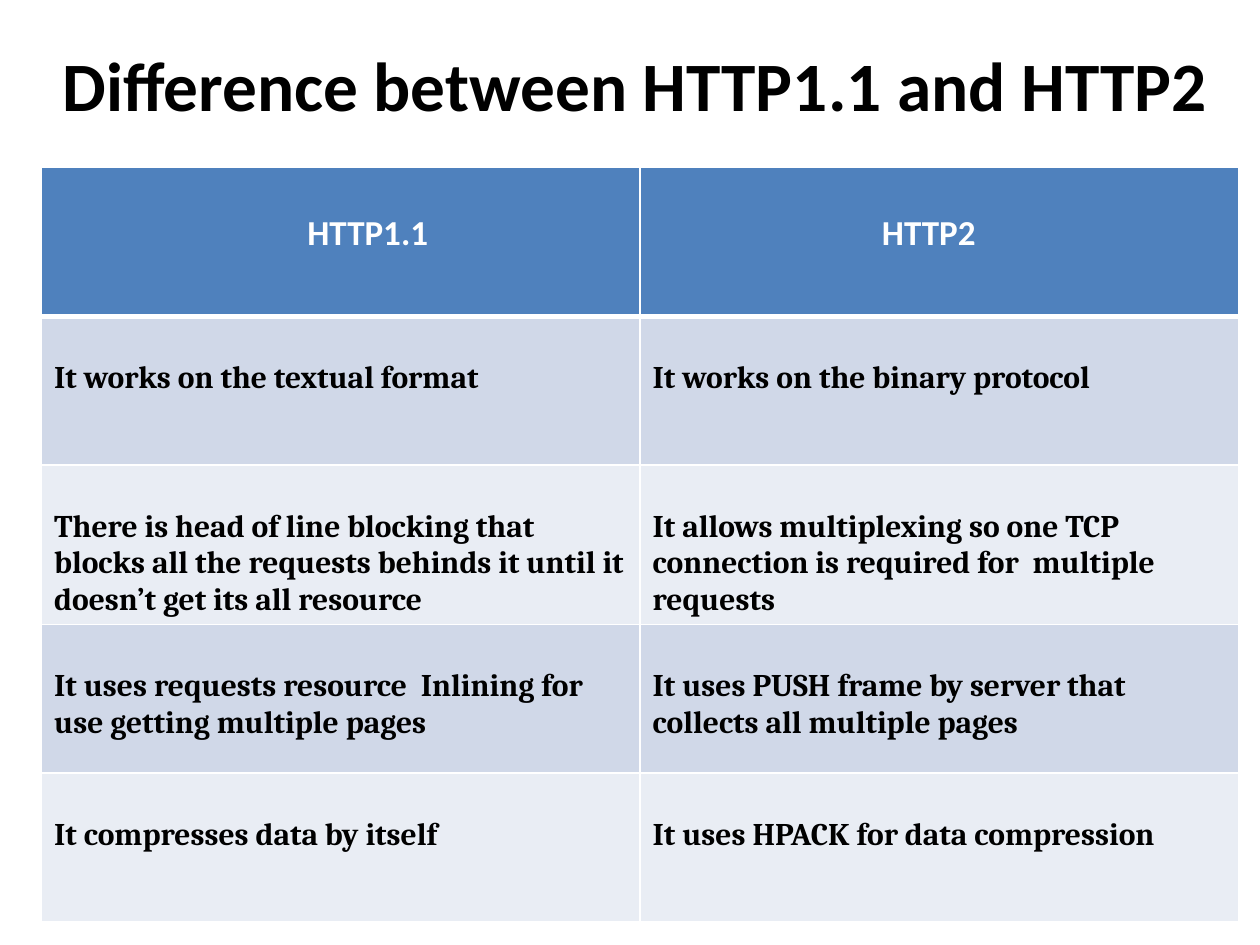
from typing import NamedTuple

from pptx import Presentation
from pptx.dml.color import RGBColor
from pptx.enum.text import MSO_ANCHOR as Anchor, PP_ALIGN as Align
from pptx.oxml import parse_xml
from pptx.oxml.ns import nsdecls
from pptx.util import Inches, Pt

WHITE, BLACK, BLUE = "FFFFFF", "000000", "4F81BD"
BANDS = "D0D8E8", "E9EDF4"
LEFT, TOP, COL, ROW = 0.33, 1.33, 4.75, 1.18  # table grid, inches
PAD = 0.1


class Pair(NamedTuple):
    old: str
    new: str


HEADS = Pair("HTTP1.1", "HTTP2")
INDENTS = 2.11, 1.92
ROWS = [
    Pair("It works on the textual format", "It works on the binary protocol"),
    Pair("There is head of line blocking that blocks all the requests behinds "
         "it until it doesn’t get its all resource",
         "It allows multiplexing so one TCP connection is required for  "
         "multiple requests"),
    Pair("It uses requests resource  Inlining for use getting multiple pages",
         "It uses PUSH frame by server that collects all multiple pages"),
    Pair("It compresses data by itself", "It uses HPACK for data compression"),
]


def paint(code: str) -> RGBColor:
    return RGBColor.from_string(code)


def write(frame, text: str, *, size: float, font: str, color: str = BLACK,
          align=Align.LEFT) -> None:
    par = frame.paragraphs[0]
    par.alignment = align
    run = par.add_run()
    run.text = text
    run.font.name, run.font.size, run.font.bold = font, Pt(size), True
    run.font.color.rgb = paint(color)


def edge(cell, side: str, width: float) -> None:
    cell._tc.get_or_add_tcPr().append(parse_xml(
        f'<a:ln{side} {nsdecls("a")} w="{Pt(width)}"><a:solidFill>'
        f'<a:srgbClr val="{WHITE}"/></a:solidFill></a:ln{side}>'))


def style(cell, fill: str, indent: float, over: float, under: float) -> None:
    for side, width in zip("LRTB", (1, 1, over, under)):
        edge(cell, side, width)
    cell.fill.solid()
    cell.fill.fore_color.rgb = paint(fill)
    cell.margin_left, cell.margin_top = Inches(indent), Inches(0.35)
    cell.vertical_anchor = Anchor.TOP


deck = Presentation()
deck.slide_width, deck.slide_height = Inches(10), Inches(7.5)
slide = deck.slides.add_slide(deck.slide_layouts[5])

# Title
title = slide.shapes.title
title.left, title.top = Inches(LEFT), Inches(0.25)
title.width, title.height = Inches(9.42), Inches(0.83)
title.text_frame.vertical_anchor = Anchor.MIDDLE
write(title.text_frame, "Difference between HTTP1.1 and HTTP2",
      size=39.6, font="Calibri", align=Align.CENTER)

# Table
count = len(ROWS) + 1
grid = slide.shapes.add_table(count, 2, Inches(LEFT), Inches(TOP),
                              Inches(2 * COL), Inches(count * ROW)).table
for row in grid.rows:
    row.height = Inches(ROW)

# Header row
for col, (head, indent) in enumerate(zip(HEADS, INDENTS)):
    cell = grid.cell(0, col)
    style(cell, BLUE, indent, over=1, under=3)
    write(cell.text_frame, head, size=20, font="Calibri", color=WHITE)

# Body rows in alternating bands
for num, pair in enumerate(ROWS):
    for col, text in enumerate(pair):
        cell = grid.cell(num + 1, col)
        style(cell, BANDS[num % 2], PAD, over=1 if num else 3, under=1)
        write(cell.text_frame, text, size=18, font="Cambria")

deck.save("out.pptx")
